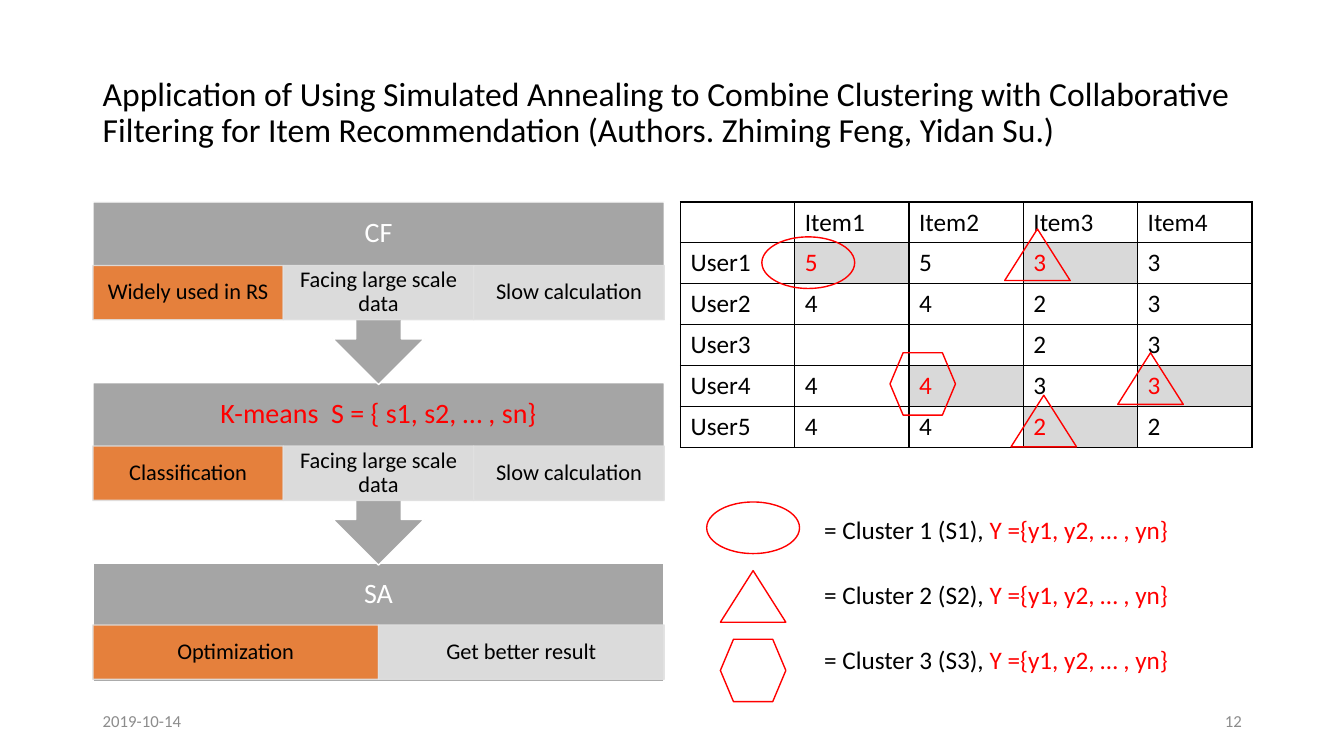
from lxml.etree import SubElement
from pptx import Presentation
from pptx.dml.color import RGBColor
from pptx.enum.shapes import MSO_SHAPE
from pptx.enum.text import MSO_ANCHOR, PP_ALIGN
from pptx.oxml.ns import qn
from pptx.util import Cm, Pt

COLORS = {
    "text": "000000", "white": "FFFFFF", "red": "FF0000", "footer": "8C8C8C",
    "stage": "A5A5A5", "highlight": "ED7D31", "detail": "E1E1E1", "rated": "D9D9D9",
}
FONT = "Calibri"

TITLE = ("Application of Using Simulated Annealing to Combine Clustering with "
         "Collaborative Filtering for Item Recommendation "
         "(Authors. Zhiming Feng, Yidan Su.)")
DATE, PAGE = "2019-10-14", "12"

# heading, heading colour, details
STAGES = [
    ("CF", "white", ["Widely used in RS", "Facing large scale data", "Slow calculation"]),
    ("K-means  S = { s1, s2, … , sn}", "red",
     ["Classification", "Facing large scale data", "Slow calculation"]),
    ("SA", "white", ["Optimization", "Get better result"]),
]
RATINGS = [
    ["", "Item1", "Item2", "Item3", "Item4"],
    ["User1", "5", "5", "3", "3"],
    ["User2", "4", "4", "2", "3"],
    ["User3", "", "", "2", "3"],
    ["User4", "4", "4", "3", "3"],
    ["User5", "4", "4", "2", "2"],
]
CLUSTERED = {(1, 1), (1, 3), (4, 2), (4, 4), (5, 3)}  # row, column

# cluster: preset, width, height
MARKS = {
    1: (MSO_SHAPE.OVAL, 2.34, 1.3),
    2: (MSO_SHAPE.ISOSCELES_TRIANGLE, 1.65, 1.3),
    3: (MSO_SHAPE.FLOWCHART_PREPARATION, 1.65, 1.57),
}
# cluster, left, top
TABLE_MARKS = [(1, 19.2, 5.97), (2, 25.32, 5.77), (2, 28.17, 8.89),
               (3, 22.43, 8.89), (2, 25.48, 9.96)]
MEMBERS = "Y ={y1, y2, … , yn}"

LEFT, TOP, PANEL_WIDTH = 2.34, 5.09, 14.4
STAGE_STEP, CALLOUT_HEIGHT, LAST_HEIGHT = 4.55, 4.6, 3.0
HEADING_HEIGHT, LAST_HEADING_HEIGHT, DETAIL_HEIGHT = 1.6, 1.56, 1.37
TABLE_LEFT, ROW_HEIGHT = 17.15, 1.03
LEGEND_CENTER, LEGEND_TOP, LEGEND_STEP = 18.98, 12.65, 1.73
LABEL_LEFT, LABEL_TOP, LABEL_STEP = 20.52, 12.83, 1.64


def rgb(name):
    return RGBColor.from_string(COLORS[name])


def write(frame, *runs, size=18, align=PP_ALIGN.LEFT, anchor=MSO_ANCHOR.TOP,
          insets=(0.25, 0.13), spacing=1.0, wrap=True):
    """Fill a text frame with one paragraph of (text, colour) runs."""
    frame.word_wrap = wrap
    frame.vertical_anchor = anchor
    frame.margin_left = frame.margin_right = Cm(insets[0])
    frame.margin_top = frame.margin_bottom = Cm(insets[1])
    paragraph = frame.paragraphs[0]
    paragraph.alignment = align
    paragraph.line_spacing = spacing
    for text, color in runs:
        run = paragraph.add_run()
        run.text = text
        run.font.name = FONT
        run.font.size = Pt(size)
        run.font.color.rgb = rgb(color)


def add_text(left, top, width, height, *runs, **text_format):
    box = slide.shapes.add_textbox(Cm(left), Cm(top), Cm(width), Cm(height))
    write(box.text_frame, *runs, **text_format)


def add_figure(preset, left, top, width, height, line, fill=None):
    figure = slide.shapes.add_shape(preset, Cm(left), Cm(top), Cm(width), Cm(height))
    figure.shadow.inherit = False
    figure.line.color.rgb = rgb(line)
    figure.line.width = Pt(1)
    if fill:
        figure.fill.solid()
        figure.fill.fore_color.rgb = rgb(fill)
    else:
        figure.fill.background()
    return figure


def add_mark(cluster, left, top):
    preset, width, height = MARKS[cluster]
    add_figure(preset, left, top, width, height, "red")


def add_stage(index, heading, heading_color, details):
    top = TOP + index * STAGE_STEP
    if index == len(STAGES) - 1:
        heading_height = LAST_HEADING_HEIGHT
        add_figure(MSO_SHAPE.RECTANGLE, LEFT, top, PANEL_WIDTH, LAST_HEIGHT,
                   "white", "stage")
    else:
        heading_height = HEADING_HEIGHT
        callout = add_figure(MSO_SHAPE.UP_ARROW_CALLOUT, LEFT, top, PANEL_WIDTH,
                             CALLOUT_HEIGHT, "white", "stage")
        callout.rotation = 180
    centred = {"align": PP_ALIGN.CENTER, "anchor": MSO_ANCHOR.MIDDLE, "spacing": 0.9}
    add_text(LEFT, top, PANEL_WIDTH, heading_height, (heading, heading_color),
             size=20, insets=(0.4, 0.4), **centred)
    width = PANEL_WIDTH / len(details)
    for position, text in enumerate(details):
        detail = add_figure(MSO_SHAPE.RECTANGLE, LEFT + position * width,
                            top + heading_height, width, DETAIL_HEIGHT, "detail",
                            "detail" if position else "highlight")
        for color in detail._element.spPr.iter(qn("a:srgbClr")):
            SubElement(color, qn("a:alpha"), val="90000")
        write(detail.text_frame, (text, "text"), size=16, insets=(0.3, 0.05), **centred)


def add_borders(cell):
    properties = cell._tc.get_or_add_tcPr()
    for position, side in enumerate(("lnL", "lnR", "lnT", "lnB")):
        border = SubElement(properties, qn(f"a:{side}"), w=str(Pt(1)))
        fill = SubElement(border, qn("a:solidFill"))
        SubElement(fill, qn("a:srgbClr"), val=COLORS["text"])
        properties.insert(position, border)


def add_ratings():
    rows, columns = len(RATINGS), len(RATINGS[0])
    table = slide.shapes.add_table(rows, columns, Cm(TABLE_LEFT), Cm(TOP),
                                   Cm(PANEL_WIDTH), Cm(rows * ROW_HEIGHT)).table
    table.first_row = table.horz_banding = False
    for row, ratings in enumerate(RATINGS):
        table.rows[row].height = Cm(ROW_HEIGHT)
        for column, rating in enumerate(ratings):
            cell = table.cell(row, column)
            clustered = (row, column) in CLUSTERED
            cell.fill.solid()
            cell.fill.fore_color.rgb = rgb("rated" if clustered else "white")
            add_borders(cell)
            if rating:
                write_cell(cell, rating, "red" if clustered else "text")


def write_cell(cell, text, color):
    write(cell.text_frame, (text, color), wrap=None)


def add_legend():
    for position, (cluster, (_, width, _)) in enumerate(MARKS.items()):
        add_mark(cluster, LEGEND_CENTER - width / 2, LEGEND_TOP + position * LEGEND_STEP)
        add_text(LABEL_LEFT, LABEL_TOP + position * LABEL_STEP, 9.3, 1.02,
                 (f"= Cluster {cluster} (S{cluster}), ", "text"), (MEMBERS, "red"),
                 wrap=False)


presentation = Presentation()
presentation.slide_width, presentation.slide_height = Cm(33.87), Cm(19.05)
slide = presentation.slides.add_slide(presentation.slide_layouts[6])

add_text(LEFT, 1.02, 29.21, 3.68, (TITLE, "text"), size=24,
         anchor=MSO_ANCHOR.MIDDLE, spacing=0.9)
add_text(LEFT, 17.65, 7.62, 1.02, (DATE, "footer"), size=12, anchor=MSO_ANCHOR.MIDDLE)
add_text(23.93, 17.65, 7.62, 1.02, (PAGE, "footer"), size=12,
         align=PP_ALIGN.RIGHT, anchor=MSO_ANCHOR.MIDDLE)
for index, stage in reversed(list(enumerate(STAGES))):
    add_stage(index, *stage)
add_ratings()
for mark in TABLE_MARKS:
    add_mark(*mark)
add_legend()

presentation.save("out.pptx")
